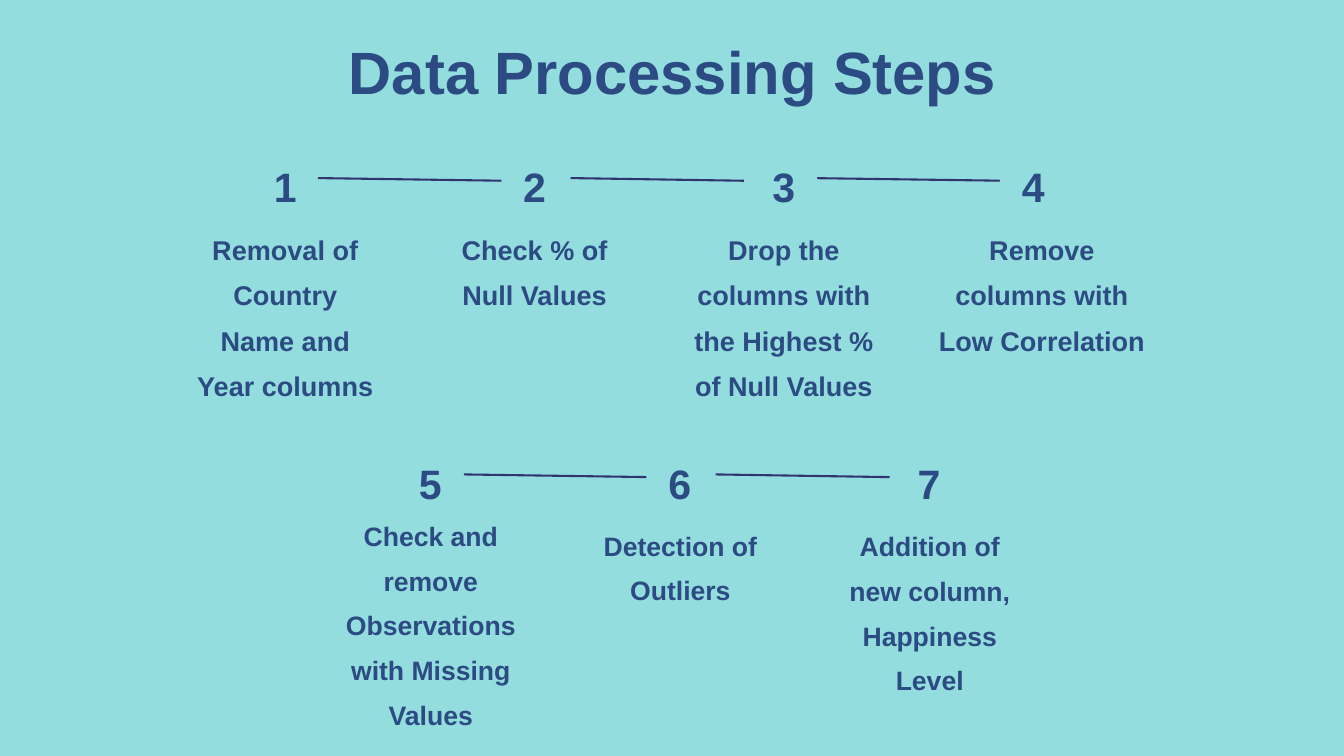
import pptx
import pptx.dml.color
import pptx.enum.shapes
import pptx.enum.text
import pptx.util
from lxml import etree
from pptx.util import Inches

BACKGROUND = pptx.dml.color.RGBColor(0x94, 0xDD, 0xDE)
TEXT_COLOR = pptx.dml.color.RGBColor(0x2B, 0x4B, 0x82)
LINE_COLOR = pptx.dml.color.RGBColor(0x31, 0x35, 0x6E)

TITLE = "Data Processing Steps"
# Steps: text, then left, top, width and height of its box.
# Links: start and end of each line between numbers.
ROWS = [
    {
        "left": 3.75, "top": 2.1, "size": 29,
        "links": [(4.73, 7.5), (8.49, 11.07), (12.06, 14.96)],
        "steps": [
            ("Removal of Country Name and Year columns", (2.9, 3.28, 2.69, 2.54)),
            ("Check % of Null Values", (6.64, 3.28, 2.63, 1.17)),
            ("Drop the columns with the Highest % of Null Values", (10.32, 3.28, 2.69, 2.54)),
            ("Remove columns with Low Correlation", (13.91, 3.28, 3.19, 1.85)),
        ],
    },
    {
        "left": 5.91, "top": 6.51, "size": 28.5,
        "links": [(6.9, 9.67), (10.65, 13.24)],
        "steps": [
            ("Check and remove Observations with Missing Values", (4.8, 7.55, 3.22, 3.17)),
            ("Detection of Outliers", (8.81, 7.69, 2.63, 1.15)),
            ("Addition of new column, Happiness Level", (12.49, 7.7, 2.69, 2.49)),
        ],
    },
]
NUMBER_PITCH = 3.71
NUMBER_WIDTH, NUMBER_HEIGHT = 0.99, 1.06
BACKING_INSET = 0.09
LINK_OFFSET, LINK_DROP = 0.55, 0.04


def add_text(slide, text, box, size, spacing=1.4, anchor=pptx.enum.text.MSO_ANCHOR.TOP):
    frame = slide.shapes.add_textbox(*map(Inches, box)).text_frame
    frame_format = {
        "word_wrap": True, "vertical_anchor": anchor,
        "margin_left": 0, "margin_top": 0, "margin_right": 0, "margin_bottom": 0,
    }
    for name, value in frame_format.items():
        setattr(frame, name, value)
    paragraph = frame.paragraphs[0]
    paragraph.alignment = pptx.enum.text.PP_ALIGN.CENTER
    paragraph.line_spacing = spacing
    run = paragraph.add_run()
    run.text = text
    for name, value in {"name": "Arial", "size": pptx.util.Pt(size), "bold": True}.items():
        setattr(run.font, name, value)
    run.font.color.rgb = TEXT_COLOR


def add_link(slide, start, end, top):
    connector = slide.shapes.add_connector(
        pptx.enum.shapes.MSO_CONNECTOR.STRAIGHT,
        Inches(start), Inches(top), Inches(end), Inches(top + LINK_DROP))
    connector.line.color.rgb = LINE_COLOR
    connector.line.width = pptx.util.Pt(2.25)
    etree.SubElement(connector._element.spPr, pptx.oxml.ns.qn("a:effectLst"))


def add_number(slide, number, left, top):
    """Add a step number; its backing trims the line that runs into it."""
    if number > 1:
        backing = slide.shapes.add_shape(
            pptx.enum.shapes.MSO_SHAPE.RECTANGLE,
            Inches(left), Inches(top + BACKING_INSET),
            Inches(NUMBER_WIDTH), Inches(NUMBER_HEIGHT - BACKING_INSET))
        backing.shadow.inherit = False
        backing.fill.solid()
        backing.fill.fore_color.rgb = BACKGROUND
        backing.line.fill.background()
    add_text(slide, str(number), (left, top, NUMBER_WIDTH, NUMBER_HEIGHT), 44,
             anchor=pptx.enum.text.MSO_ANCHOR.MIDDLE)


def main():
    presentation = pptx.Presentation()
    presentation.slide_width = Inches(20)
    presentation.slide_height = Inches(11.25)
    slide = presentation.slides.add_slide(presentation.slide_layouts[6])
    slide.background.fill.solid()
    slide.background.fill.fore_color.rgb = BACKGROUND

    add_text(slide, TITLE, (1.18, 0.47, 17.65, 1.08), 64, spacing=1.05)
    number = 0
    for row in ROWS:
        for start, end in row["links"]:
            add_link(slide, start, end, row["top"] + LINK_OFFSET)
        for column, (text, box) in enumerate(row["steps"]):
            number += 1
            add_number(slide, number, row["left"] + column * NUMBER_PITCH, row["top"])
            add_text(slide, text, box, row["size"])
    presentation.save("out.pptx")


if __name__ == "__main__":
    main()
